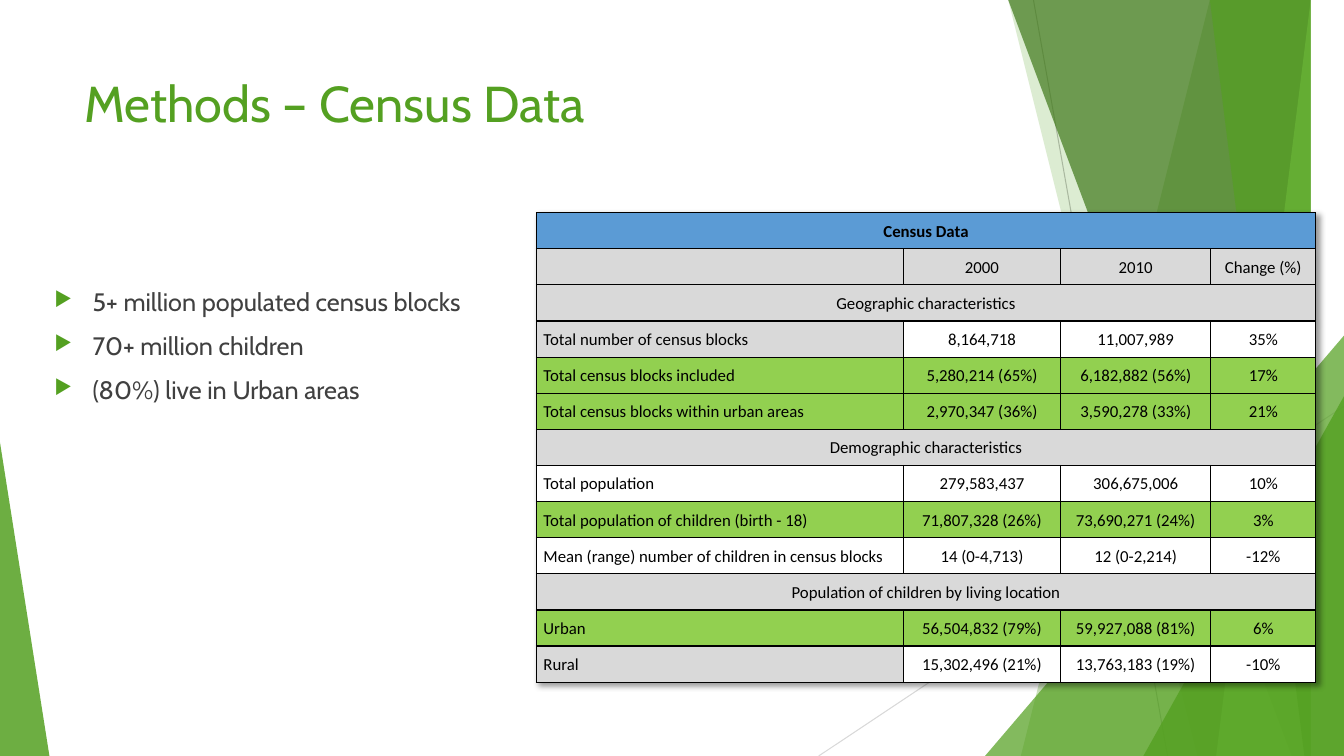
from lxml import etree
from pptx import Presentation, util as u
from pptx.dml.color import RGBColor
from pptx.enum import shapes, text
from pptx.oxml import parse_xml
from pptx.oxml.ns import nsdecls, qn

WIDTH, HEIGHT = 13.33, 7.5
GREEN = RGBColor(0x54, 0xA0, 0x21)
DARK_GREEN = RGBColor(0x3F, 0x78, 0x19)
LIGHT_GREEN = RGBColor(0x94, 0xDE, 0x61)
HIGHLIGHT = RGBColor(0x92, 0xD0, 0x50)
HEADER_BLUE = RGBColor(0x5B, 0x9B, 0xD5)
GREY = RGBColor(0xD9, 0xD9, 0xD9)
LINE_GREY = RGBColor(0xBF, 0xBF, 0xBF)
BODY_GREY = RGBColor(0x40, 0x40, 0x40)
WHITE = RGBColor(0xFF, 0xFF, 0xFF)
BLACK = RGBColor(0, 0, 0)

TITLE = "Methods – Census Data"
POINTS = [
    "5+ million populated census blocks",
    "70+ million children",
    "(80%) live in Urban areas",
]

# Each row: label fill, value fill, cells; a single cell spans the table
CENSUS_ROWS = [
    (HEADER_BLUE, HEADER_BLUE, ["Census Data"]),
    (GREY, GREY, ["", "2000", "2010", "Change (%)"]),
    (GREY, GREY, ["Geographic characteristics"]),
    (GREY, WHITE, ["Total number of census blocks", "8,164,718", "11,007,989", "35%"]),
    (HIGHLIGHT, HIGHLIGHT, ["Total census blocks included", "5,280,214 (65%)", "6,182,882 (56%)", "17%"]),
    (HIGHLIGHT, HIGHLIGHT, ["Total census blocks within urban areas", "2,970,347 (36%)", "3,590,278 (33%)", "21%"]),
    (GREY, GREY, ["Demographic characteristics"]),
    (WHITE, WHITE, ["Total population", "279,583,437", "306,675,006", "10%"]),
    (HIGHLIGHT, HIGHLIGHT, ["Total population of children (birth - 18)", "71,807,328 (26%)", "73,690,271 (24%)", "3%"]),
    (WHITE, WHITE, ["Mean (range) number of children in census blocks", "14 (0-4,713)", "12 (0-2,214)", "-12%"]),
    (GREY, GREY, ["Population of children by living location"]),
    (HIGHLIGHT, HIGHLIGHT, ["Urban", "56,504,832 (79%)", "59,927,088 (81%)", "6%"]),
    (GREY, WHITE, ["Rural", "15,302,496 (21%)", "13,763,183 (19%)", "-10%"]),
]
COLUMN_WIDTHS = [3.64, 1.56, 1.49, 1.04]
TABLE_LEFT, TABLE_TOP, TABLE_HEIGHT = 5.32, 2.11, 4.66

RAYS = [((10.25, 0), (11.58, HEIGHT), LINE_GREY), ((WIDTH, 4.03), (8.12, HEIGHT), GREY)]

# Bands reach the right edge: x of the left side at top and bottom, colour, opacity
BACK_BANDS = [(12.28, 10.04, GREEN, 30), (10.5, 11.83, GREEN, 20)]
FRONT_BANDS = [
    (10.21, 12.91, DARK_GREEN, 70),
    (13.03, 11.92, LIGHT_GREEN, 70),
    (11.96, 13.18, GREEN, 65),
]
# Wedges stand on the bottom edge: left, top, width, apex position, opacity
BACK_WEDGE = (9.77, 3.33, 3.56, 1, 72)
FRONT_WEDGES = [(11.34, 3.93, 1.99, 1, 80), (0, 4.39, 0.49, 0, 85)]


def paint(shape, color, opacity):
    shape.shadow.inherit = False
    shape.fill.solid()
    shape.fill.fore_color.rgb = color
    shape.line.fill.background()
    srgb = shape.fill._xPr.find(qn("a:solidFill"))[0]
    etree.SubElement(srgb, qn("a:alpha")).set("val", str(opacity * 1000))


def add_ray(slide, start, end, color):
    ray = slide.shapes.add_connector(
        shapes.MSO_CONNECTOR.STRAIGHT, *(u.Inches(v) for v in start + end))
    ray.line.color.rgb = color
    ray.line.width = u.Pt(0.75)
    etree.SubElement(ray._element.spPr, qn("a:effectLst"))


def add_band(slide, top_x, bottom_x, color, opacity):
    outline = slide.shapes.build_freeform(top_x, 0, scale=u.Inches(1))
    outline.add_line_segments([(WIDTH, 0), (WIDTH, HEIGHT), (bottom_x, HEIGHT)], close=True)
    paint(outline.convert_to_shape(), color, opacity)


def add_wedge(slide, left, top, width, apex, opacity):
    wedge = slide.shapes.add_shape(
        shapes.MSO_SHAPE.ISOSCELES_TRIANGLE,
        *(u.Inches(v) for v in (left, top, width, HEIGHT - top)))
    wedge.adjustments[0] = apex
    paint(wedge, GREEN, opacity)


def add_backdrop(slide):
    for ray in RAYS:
        add_ray(slide, *ray)
    for band in BACK_BANDS:
        add_band(slide, *band)
    add_wedge(slide, *BACK_WEDGE)
    for band in FRONT_BANDS:
        add_band(slide, *band)
    for wedge in FRONT_WEDGES:
        add_wedge(slide, *wedge)


def add_run(paragraph, words, font, size, color, bold=False):
    run = paragraph.add_run()
    run.text = words
    run.font.name = font
    run.font.size = u.Pt(size)
    run.font.color.rgb = color
    run.font.bold = bold


def add_frame(slide, *place):
    frame = slide.shapes.add_textbox(*(u.Inches(v) for v in place)).text_frame
    frame.word_wrap = True
    return frame


def add_bullet(paragraph):
    properties = paragraph._p.get_or_add_pPr()
    indent = u.Inches(0.38)
    properties.set("marL", str(indent))
    properties.set("indent", str(-indent))
    color = etree.SubElement(properties, qn("a:buClr"))
    etree.SubElement(color, qn("a:srgbClr")).set("val", str(GREEN))
    etree.SubElement(properties, qn("a:buSzPct")).set("val", "80000")
    etree.SubElement(properties, qn("a:buChar")).set("char", "▶")


def add_points(slide):
    frame = add_frame(slide, 0.44, 2.79, 4.95, 3.79)
    for i, point in enumerate(POINTS):
        paragraph = frame.paragraphs[0] if i == 0 else frame.add_paragraph()
        add_bullet(paragraph)
        paragraph.space_before = u.Pt(10 if i else 0)
        add_run(paragraph, point, "Cabin", 18, BODY_GREY)


def style_cell(cell, fill):
    cell.margin_left = cell.margin_right = u.Inches(0.07)
    cell.margin_top = cell.margin_bottom = 0
    cell.vertical_anchor = text.MSO_ANCHOR.MIDDLE
    properties = cell._tc.get_or_add_tcPr()
    for side in ("lnL", "lnR", "lnT", "lnB"):
        properties.append(parse_xml(
            f'<a:{side} {nsdecls("a")} w="{u.Pt(1)}"><a:solidFill>'
            f'<a:srgbClr val="{BLACK}"/></a:solidFill></a:{side}>'))
    cell.fill.solid()
    cell.fill.fore_color.rgb = fill


def add_census_table(slide):
    table = slide.shapes.add_table(
        len(CENSUS_ROWS), len(COLUMN_WIDTHS), u.Inches(TABLE_LEFT), u.Inches(TABLE_TOP),
        u.Inches(sum(COLUMN_WIDTHS)), u.Inches(TABLE_HEIGHT)).table
    table.first_row = table.horz_banding = False
    table._tbl.tblPr.insert(0, parse_xml(
        f'<a:effectLst {nsdecls("a")}><a:outerShdw blurRad="50800" dist="38100" dir="2700000" '
        f'algn="tl" rotWithShape="0"><a:srgbClr val="{BLACK}"><a:alpha val="40000"/>'
        '</a:srgbClr></a:outerShdw></a:effectLst>'))
    for column, width in zip(table.columns, COLUMN_WIDTHS):
        column.width = u.Inches(width)
    for r, (label_fill, value_fill, words) in enumerate(CENSUS_ROWS):
        table.rows[r].height = u.Inches(TABLE_HEIGHT / len(CENSUS_ROWS))
        spanning = len(words) == 1
        for c in range(len(COLUMN_WIDTHS)):
            style_cell(table.cell(r, c), value_fill if c else label_fill)
        if spanning:
            table.cell(r, 0).merge(table.cell(r, len(COLUMN_WIDTHS) - 1))
        for c, entry in enumerate(words):
            if entry:
                paragraph = table.cell(r, c).text_frame.paragraphs[0]
                paragraph.line_spacing = 1.07
                centred = spanning or c > 0
                paragraph.alignment = text.PP_ALIGN.CENTER if centred else text.PP_ALIGN.LEFT
                add_run(paragraph, entry, "Calibri", 12, BLACK, bold=r == 0)


def main():
    deck = Presentation()
    deck.slide_width, deck.slide_height = u.Inches(WIDTH), u.Inches(HEIGHT)
    slide = deck.slides.add_slide(deck.slide_layouts[6])
    add_backdrop(slide)
    add_census_table(slide)
    title = add_frame(slide, 0.74, 0.67, 9.4, 1.44)
    add_run(title.paragraphs[0], TITLE, "Cabin", 36, GREEN)
    add_points(slide)
    deck.save("out.pptx")


if __name__ == "__main__":
    main()
